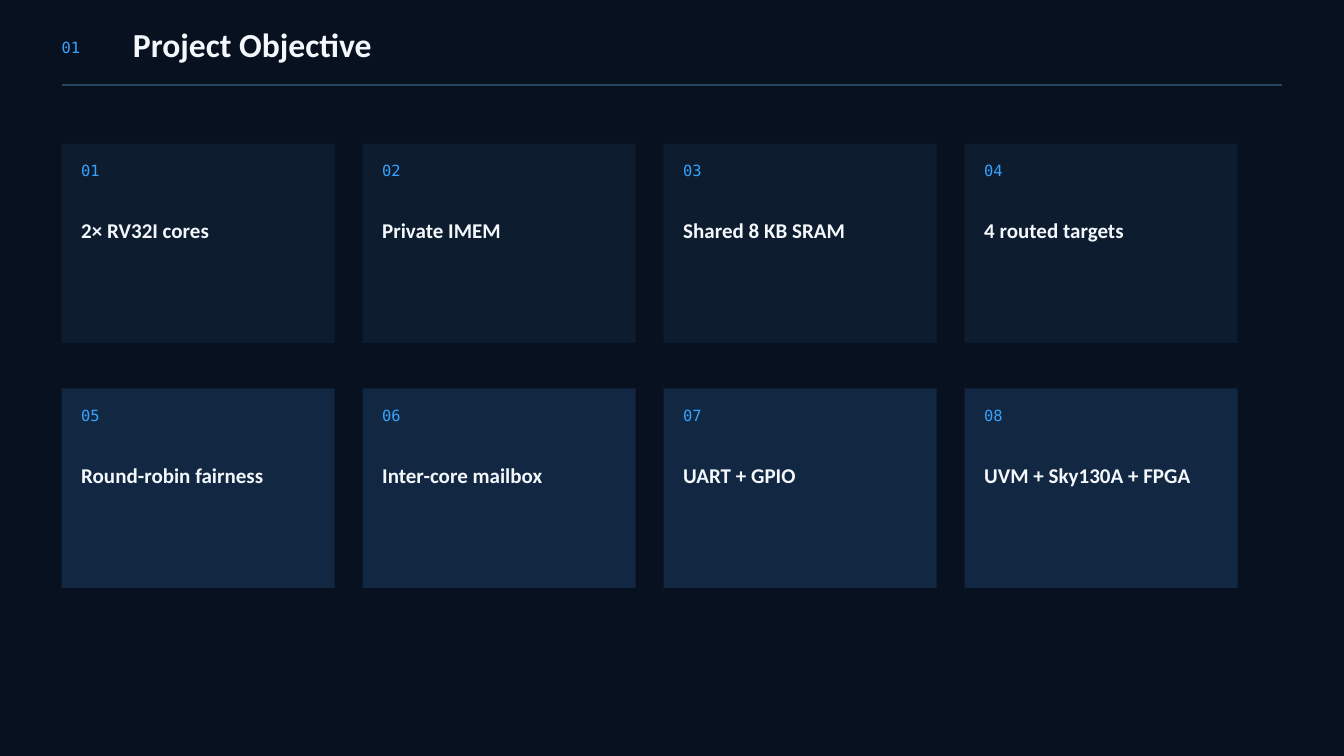
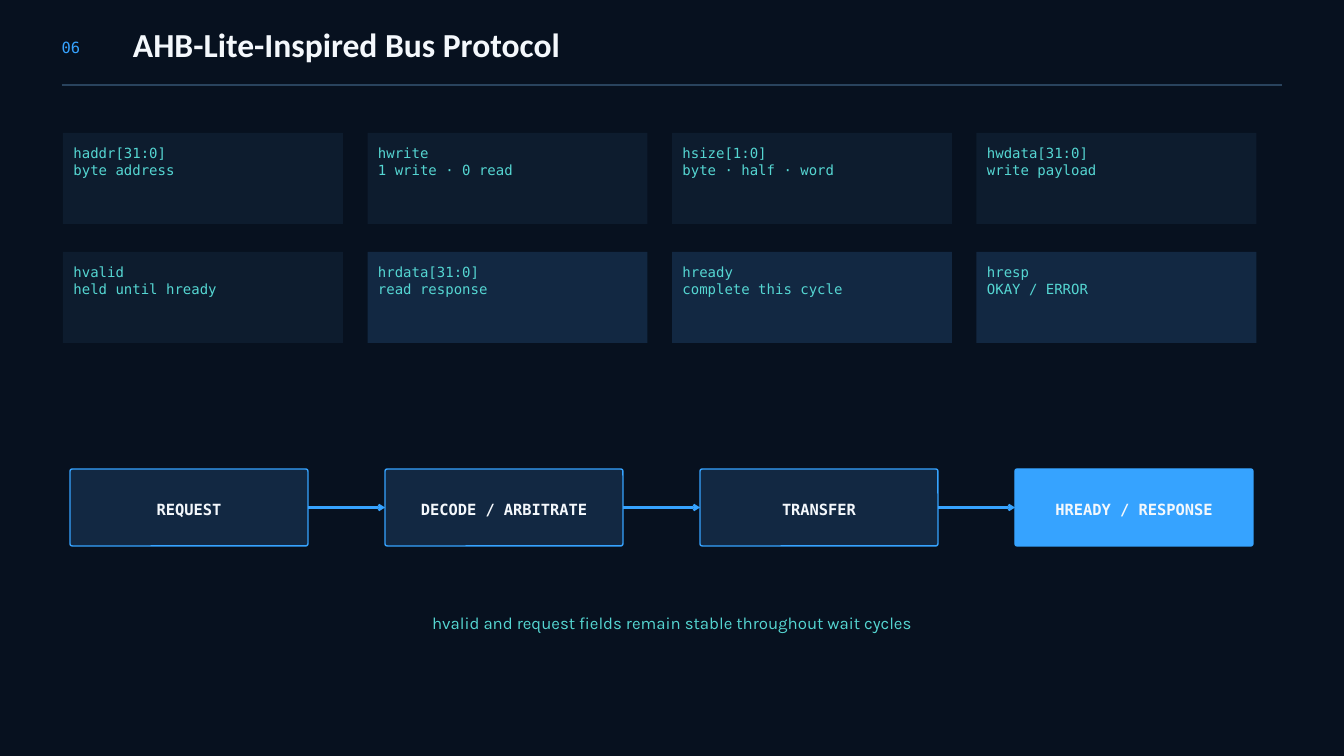
"""Build two slides on a dual-core chip: its objective and its bus protocol."""
from dataclasses import dataclass

from pptx import Presentation
from pptx.dml.color import RGBColor
from pptx.enum.shapes import MSO_CONNECTOR, MSO_SHAPE
from pptx.enum.text import MSO_ANCHOR, MSO_AUTO_SIZE, PP_ALIGN
from pptx.oxml.ns import qn
from pptx.oxml.xmlchemy import OxmlElement
from pptx.presentation import Presentation as Deck
from pptx.shapes.autoshape import Shape
from pptx.shapes.connector import Connector
from pptx.slide import Slide
from pptx.text.text import TextFrame
from pptx.util import Inches, Length, Pt

SLIDE_WIDTH = Inches(20)
SLIDE_HEIGHT = Inches(11.25)
GRID_COLUMNS = 192
GRID_ROWS = 108

BACKGROUND = RGBColor(0x07, 0x11, 0x1F)
CARD_DARK = RGBColor(0x0D, 0x1C, 0x2E)
CARD_LIGHT = RGBColor(0x12, 0x28, 0x42)
RULE = RGBColor(0x29, 0x43, 0x5D)
BLUE = RGBColor(0x36, 0xA3, 0xFF)
TEAL = RGBColor(0x55, 0xD6, 0xD2)
WHITE = RGBColor(0xF4, 0xF8, 0xFC)

SANS = "Calibri"
MONO = "DejaVu Sans Mono"


@dataclass(frozen=True)
class Box:
    """A rectangle in columns and rows of the slide grid."""

    left: float
    top: float
    width: float
    height: float

    def inner(self, right: float, down: float, width: float, height: float) -> "Box":
        """Return a box offset from this one's top left corner."""
        return Box(self.left + right, self.top + down, width, height)

    def lengths(self) -> tuple[Length, Length, Length, Length]:
        """Return the four measures as slide lengths."""
        return (across(self.left), down(self.top), across(self.width), down(self.height))


@dataclass(frozen=True)
class CardGrid:
    """Equal cards laid out row by row, with a fixed step each way."""

    first: Box
    column_step: float
    row_step: float = 0
    per_row: int = 4

    def box(self, index: int) -> Box:
        """Return the place of the card with this index."""
        row, column = divmod(index, self.per_row)
        return self.first.inner(
            column * self.column_step, row * self.row_step, self.first.width, self.first.height
        )


@dataclass(frozen=True)
class TextStyle:
    """Font, size, line spacing, colour and alignment of a text."""

    font: str
    size: float
    spacing: float
    color: RGBColor
    bold: bool = False
    alignment: PP_ALIGN = PP_ALIGN.LEFT


@dataclass(frozen=True)
class Card:
    """The text lines and fill of one card."""

    lines: tuple[str, ...]
    fill: RGBColor


NUMBER_STYLE = TextStyle(MONO, 16.5, 20.6, BLUE)
TITLE_STYLE = TextStyle(SANS, 36, 38.9, WHITE, bold=True)
HEADING_STYLE = TextStyle(SANS, 22.5, 25.9, WHITE, bold=True)
SIGNAL_STYLE = TextStyle(MONO, 15, 18.8, TEAL)
STEP_STYLE = TextStyle(MONO, 16.5, 23.1, WHITE, bold=True, alignment=PP_ALIGN.CENTER)
CAPTION_STYLE = TextStyle("Karla", 18, 24.3, TEAL, alignment=PP_ALIGN.CENTER)

NUMBER_BOX = Box(8.8, 5.3, 9, 2.7)
TITLE_BOX = Box(19, 4, 150, 5.9)
RULE_BOX = Box(8.8, 12.2, 174.4, 0)
CAPTION_BOX = Box(43, 87.2, 106, 3.2)

OBJECTIVE_GRID = CardGrid(Box(8.8, 20.5, 39, 28.5), 43, 35)
SIGNAL_GRID = CardGrid(Box(9, 19, 40, 13), 43.5, 17)
STEP_GRID = CardGrid(Box(10, 67, 34, 11), 45)

OBJECTIVES = (
    Card(("2× RV32I cores",), CARD_DARK),
    Card(("Private IMEM",), CARD_DARK),
    Card(("Shared 8 KB SRAM",), CARD_DARK),
    Card(("4 routed targets",), CARD_DARK),
    Card(("Round-robin fairness",), CARD_LIGHT),
    Card(("Inter-core mailbox",), CARD_LIGHT),
    Card(("UART + GPIO",), CARD_LIGHT),
    Card(("UVM + Sky130A + FPGA",), CARD_LIGHT),
)
SIGNALS = (
    Card(("haddr[31:0]", "byte address"), CARD_DARK),
    Card(("hwrite", "1 write · 0 read"), CARD_DARK),
    Card(("hsize[1:0]", "byte · half · word"), CARD_DARK),
    Card(("hwdata[31:0]", "write payload"), CARD_DARK),
    Card(("hvalid", "held until hready"), CARD_DARK),
    Card(("hrdata[31:0]", "read response"), CARD_LIGHT),
    Card(("hready", "complete this cycle"), CARD_LIGHT),
    Card(("hresp", "OKAY / ERROR"), CARD_LIGHT),
)
STEPS = (
    Card(("REQUEST",), CARD_LIGHT),
    Card(("DECODE / ARBITRATE",), CARD_LIGHT),
    Card(("TRANSFER",), CARD_LIGHT),
    Card(("HREADY / RESPONSE",), BLUE),
)


def across(columns: float) -> Length:
    """Convert grid columns to a length."""
    return Length(round(SLIDE_WIDTH * columns / GRID_COLUMNS))


def down(rows: float) -> Length:
    """Convert grid rows to a length."""
    return Length(round(SLIDE_HEIGHT * rows / GRID_ROWS))


def write(frame: TextFrame, lines: tuple[str, ...], style: TextStyle, inset: Length = Pt(0)) -> None:
    """Write one styled paragraph per line into a text frame."""
    frame.word_wrap = True
    frame.margin_left = frame.margin_right = inset
    frame.margin_top = frame.margin_bottom = inset
    for index, line in enumerate(lines):
        paragraph = frame.add_paragraph() if index else frame.paragraphs[0]
        paragraph.alignment = style.alignment
        paragraph.line_spacing = Pt(style.spacing)
        run = paragraph.add_run()
        run.text = line
        run.font.name = style.font
        run.font.size = Pt(style.size)
        run.font.bold = style.bold
        run.font.color.rgb = style.color


def add_text(slide: Slide, box: Box, lines: tuple[str, ...], style: TextStyle) -> None:
    """Add a text box that grows with its text."""
    frame = slide.shapes.add_textbox(*box.lengths()).text_frame
    write(frame, lines, style)
    frame.auto_size = MSO_AUTO_SIZE.SHAPE_TO_FIT_TEXT


def add_panel(slide: Slide, box: Box, fill: RGBColor, kind: MSO_SHAPE = MSO_SHAPE.RECTANGLE) -> Shape:
    """Add a flat filled shape without an outline."""
    panel = slide.shapes.add_shape(kind, *box.lengths())
    panel.shadow.inherit = False
    panel.fill.solid()
    panel.fill.fore_color.rgb = fill
    panel.line.fill.background()
    return panel


def add_line(slide: Slide, box: Box, color: RGBColor, width: float) -> Connector:
    """Add a straight line across a box, without a shadow."""
    left, top, length, rise = box.lengths()
    line = slide.shapes.add_connector(MSO_CONNECTOR.STRAIGHT, left, top, left + length, top + rise)
    line.line.color.rgb = color
    line.line.width = Pt(width)
    line._element.spPr.append(OxmlElement("a:effectLst"))
    return line


def add_arrow(slide: Slide, source: Shape, target: Shape) -> None:
    """Join the right side of one shape to the left side of the next."""
    arrow = add_line(slide, Box(0, 0, 1, 0), BLUE, 2.25)
    arrow.begin_connect(source, 3)
    arrow.end_connect(target, 1)
    tail = OxmlElement("a:tailEnd")
    tail.set("type", "arrow")
    arrow._element.spPr.find(qn("a:ln")).append(tail)


def add_step(slide: Slide, box: Box, step: Card) -> Shape:
    """Add a rounded, outlined step with a centred label."""
    shape = add_panel(slide, box, step.fill, MSO_SHAPE.ROUNDED_RECTANGLE)
    shape.adjustments[0] = 0.03
    shape.line.color.rgb = BLUE
    shape.line.width = Pt(1.5)
    shape.text_frame.vertical_anchor = MSO_ANCHOR.MIDDLE
    write(shape.text_frame, step.lines, STEP_STYLE, Inches(0.06))
    return shape


def add_titled_slide(presentation: Deck, number: str, title: str) -> Slide:
    """Add a slide with its section number, title and rule."""
    slide = presentation.slides.add_slide(presentation.slide_layouts[5])
    add_text(slide, NUMBER_BOX, (number,), NUMBER_STYLE)
    shape = slide.shapes.title
    shape.left, shape.top, shape.width, shape.height = TITLE_BOX.lengths()
    shape.text_frame.vertical_anchor = MSO_ANCHOR.TOP
    shape.text_frame.auto_size = MSO_AUTO_SIZE.NONE
    write(shape.text_frame, (title,), TITLE_STYLE)
    add_line(slide, RULE_BOX, RULE, 2)
    return slide


def build_objective(presentation: Deck) -> None:
    """Build the slide of numbered project objectives."""
    slide = add_titled_slide(presentation, "01", "Project Objective")
    for index, objective in enumerate(OBJECTIVES):
        box = OBJECTIVE_GRID.box(index)
        add_panel(slide, box, objective.fill)
        add_text(slide, box.inner(2.8, 2.4, 6, 2.7), (f"{index + 1:02}",), NUMBER_STYLE)
        add_text(slide, box.inner(2.8, 10.7, 33, 3.8), objective.lines, HEADING_STYLE)


def build_protocol(presentation: Deck) -> None:
    """Build the slide of bus signals and the transfer flow."""
    slide = add_titled_slide(presentation, "06", "AHB-Lite-Inspired Bus Protocol")
    for index, signal in enumerate(SIGNALS):
        box = SIGNAL_GRID.box(index)
        add_panel(slide, box, signal.fill)
        add_text(slide, box.inner(1.5, 1.5, 37, 4.9), signal.lines, SIGNAL_STYLE)
    steps = [add_step(slide, STEP_GRID.box(index), step) for index, step in enumerate(STEPS)]
    for source, target in zip(steps, steps[1:]):
        add_arrow(slide, source, target)
    caption = "hvalid and request fields remain stable throughout wait cycles"
    add_text(slide, CAPTION_BOX, (caption,), CAPTION_STYLE)


def main() -> None:
    """Build and save the presentation."""
    presentation = Presentation()
    presentation.slide_width = SLIDE_WIDTH
    presentation.slide_height = SLIDE_HEIGHT
    background = presentation.slide_master.background.fill
    background.solid()
    background.fore_color.rgb = BACKGROUND
    build_objective(presentation)
    build_protocol(presentation)
    presentation.save("out.pptx")


if __name__ == "__main__":
    main()
